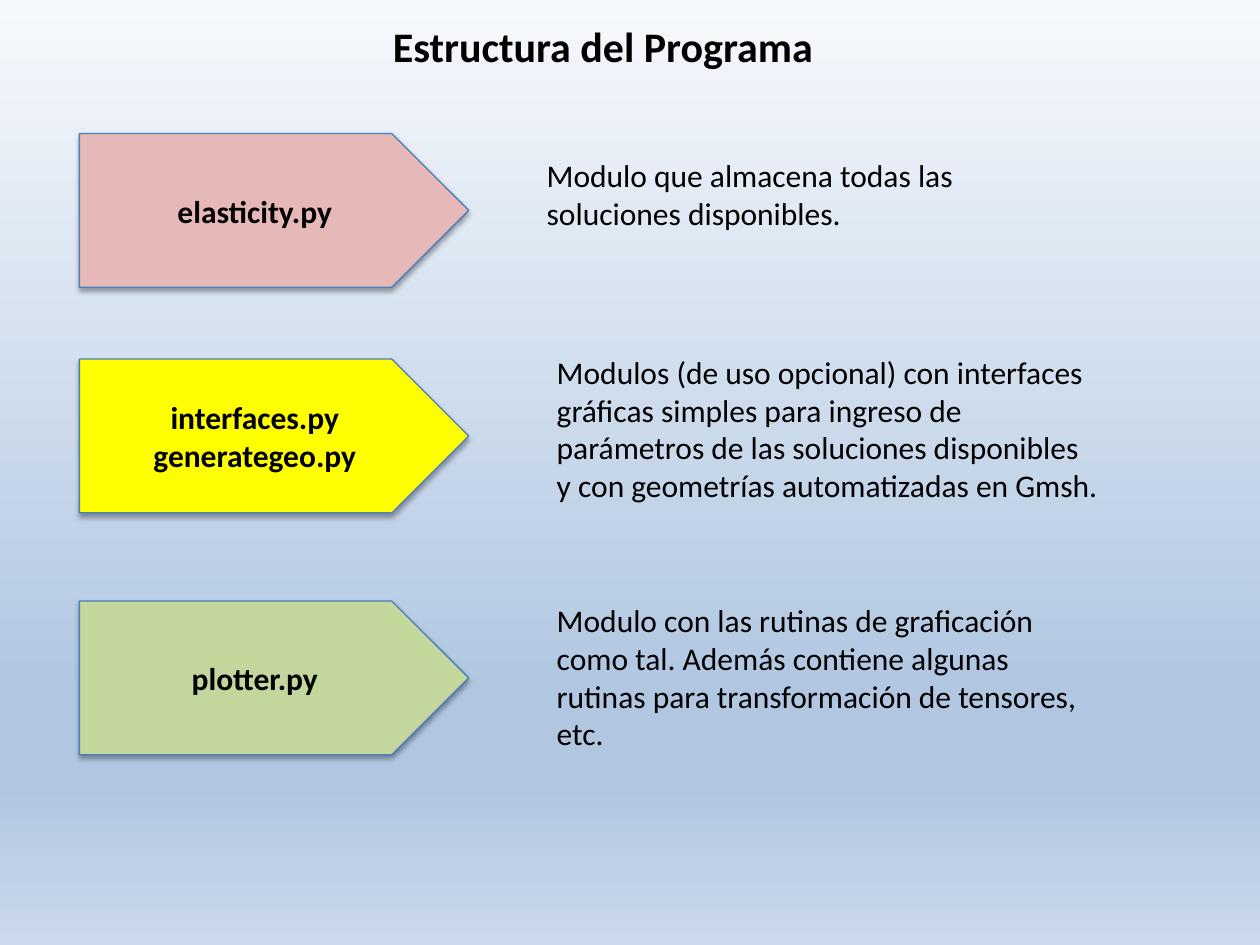
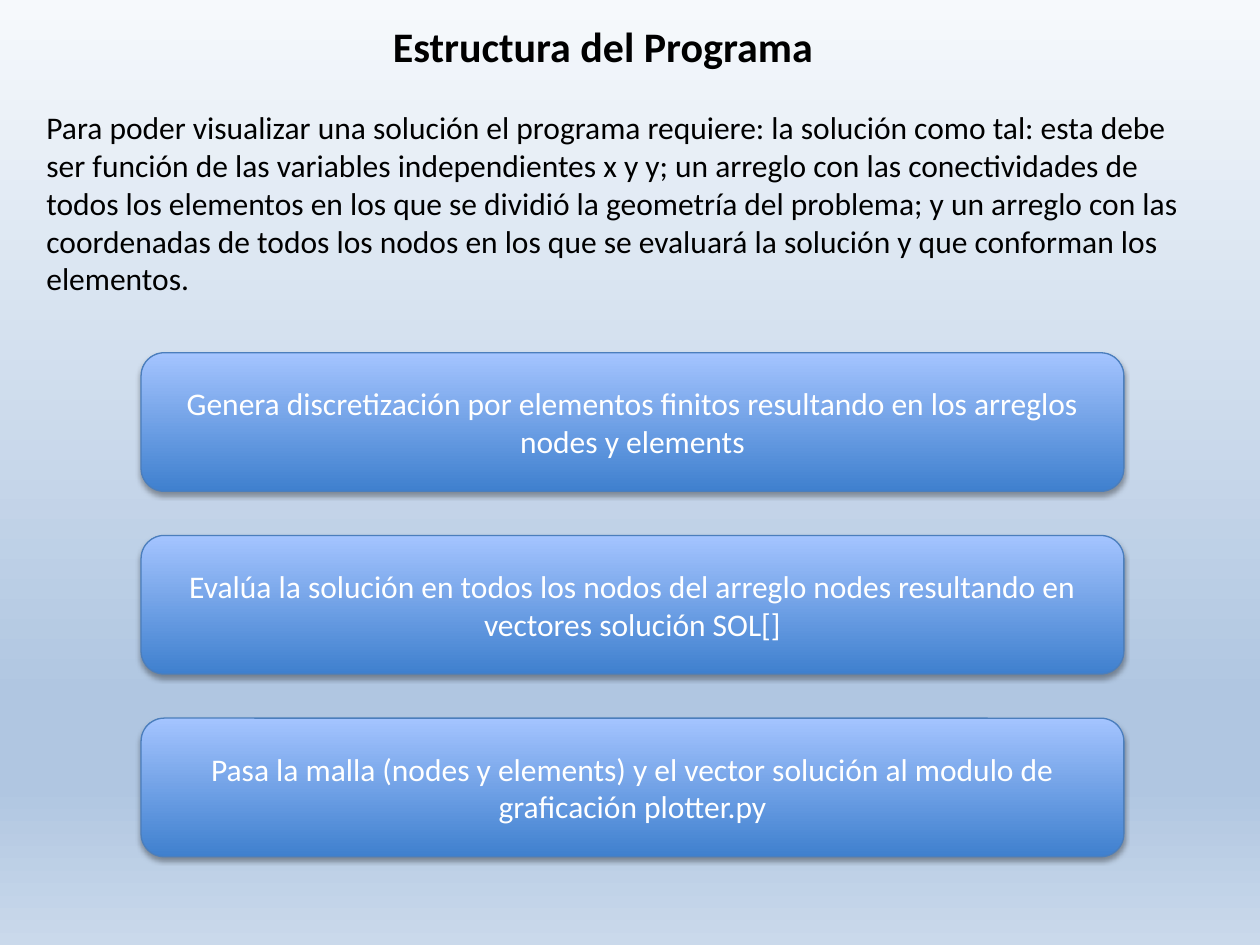
import dataclasses

import lxml.etree
import pptx
import pptx.dml.color
import pptx.enum.shapes
import pptx.enum.text
import pptx.oxml.ns
import pptx.util

Inches = pptx.util.Inches
Pt = pptx.util.Pt
MSO_SHAPE = pptx.enum.shapes.MSO_SHAPE
PP_ALIGN = pptx.enum.text.PP_ALIGN
MSO_ANCHOR = pptx.enum.text.MSO_ANCHOR
MSO_AUTO_SIZE = pptx.enum.text.MSO_AUTO_SIZE
qn = pptx.oxml.ns.qn


@dataclasses.dataclass(frozen=True)
class Theme:
    font: str = "Calibri"
    title_size: int = 24
    body_size: int = 18
    text: str = "000000"
    light: str = "FFFFFF"
    outline: str = "4B7EBC"
    pink: str = "E6B9B8"
    yellow: str = "FFFF00"
    green: str = "C3D69B"
    background: tuple = ((0, "F6F9FC"), (74, "B0C6E1"), (83, "B0C6E1"), (100, "CAD9EB"))
    step: tuple = ((0, "3F80CE"), (100, "A4C4FF"))


def rgb(value):
    return pptx.dml.color.RGBColor.from_string(value)


def add_color(parent, value):
    return lxml.etree.SubElement(parent, qn("a:srgbClr"), val=value)


class Deck:
    """Holds the theme and the current slide, and draws each kind of element."""

    def __init__(self, theme):
        self.theme = theme
        self.prs = pptx.Presentation()
        self.prs.slide_width, self.prs.slide_height = Inches(10), Inches(7.5)
        master = self.prs.slide_master
        self.gradient(master.background.fill, master.element, theme.background, 270)

    def gradient(self, fill, element, stops, angle):
        fill.gradient()
        fill.gradient_angle = angle
        stop_list = next(element.iter(qn("a:gsLst")))
        for old in list(stop_list):
            stop_list.remove(old)
        for position, color in stops:
            stop = lxml.etree.SubElement(stop_list, qn("a:gs"), pos=str(position * 1000))
            add_color(stop, color)

    def style_text(self, tf, text, size, color, bold=False, align=PP_ALIGN.LEFT):
        tf.text = text
        for p in tf.paragraphs:
            p.alignment = align
            for r in p.runs:
                r.font.name = self.theme.font
                r.font.size = Pt(size)
                r.font.bold = bold
                r.font.color.rgb = rgb(color)

    def slide(self, title):
        self.s = self.prs.slides.add_slide(self.prs.slide_layouts[5])
        sp = self.s.shapes.title
        sp.left, sp.top, sp.width, sp.height = map(Inches, (3, 0.11, 3.57, 0.5))
        tf = sp.text_frame
        self.style_text(tf, title, self.theme.title_size, self.theme.text, True, PP_ALIGN.CENTER)
        tf.word_wrap = False
        tf.auto_size = MSO_AUTO_SIZE.SHAPE_TO_FIT_TEXT
        tf.vertical_anchor = MSO_ANCHOR.TOP

    def text(self, left, top, width, height, text):
        sp = self.s.shapes.add_textbox(*map(Inches, (left, top, width, height)))
        tf = sp.text_frame
        tf.word_wrap = True
        tf.auto_size = MSO_AUTO_SIZE.SHAPE_TO_FIT_TEXT
        self.style_text(tf, text, self.theme.body_size, self.theme.text)

    def block(self, kind, left, top, width, height, text, color, bold=False):
        sp = self.s.shapes.add_shape(kind, *map(Inches, (left, top, width, height)))
        sp.line.color.rgb = rgb(self.theme.outline)
        sp.line.width = Pt(0.75)
        self.shadow(sp)
        sp.text_frame.vertical_anchor = MSO_ANCHOR.MIDDLE
        self.style_text(sp.text_frame, text, self.theme.body_size, color, bold, PP_ALIGN.CENTER)
        return sp

    def shadow(self, sp):
        sp.shadow.inherit = False
        effects = next(sp.element.iter(qn("a:effectLst")))
        outer = lxml.etree.SubElement(
            effects, qn("a:outerShdw"), blurRad=str(Pt(3.1)), dist=str(Pt(1.8)),
            dir="5400000", rotWithShape="0")
        color = add_color(outer, self.theme.text)
        lxml.etree.SubElement(color, qn("a:alpha"), val="35000")

    def module(self, top, text, fill):
        sp = self.block(MSO_SHAPE.PENTAGON, 0.63, top, 3.09, 1.22, text, self.theme.text, True)
        sp.fill.solid()
        sp.fill.fore_color.rgb = rgb(fill)

    def step(self, top, text):
        sp = self.block(MSO_SHAPE.ROUNDED_RECTANGLE, 1.12, top, 7.8, 1.1, text, self.theme.light)
        self.gradient(sp.fill, sp.element, self.theme.step, 90)


theme = Theme()
deck = Deck(theme)
TITLE = "Estructura del Programa"

MODULES = [
    (1.06, "elasticity.py", theme.pink, (4.24, 1.19, 4.49, 0.71),
     "Modulo que almacena todas las soluciones disponibles."),
    (2.85, "interfaces.py\ngenerategeo.py", theme.yellow, (4.32, 2.75, 4.49, 1.62),
     "Modulos (de uso opcional) con interfaces gráficas simples para ingreso de "
     "parámetros de las soluciones disponibles y con geometrías automatizadas en Gmsh."),
    (4.77, "plotter.py", theme.green, (4.32, 4.72, 4.49, 1.31),
     "Modulo con las rutinas de graficación como tal. Además contiene algunas "
     "rutinas para transformación de tensores, etc."),
]
deck.slide(TITLE)
for top, name, fill, box, description in MODULES:
    deck.module(top, name, fill)
    deck.text(*box, description)

STEPS = [
    "Genera discretización por elementos finitos resultando en los arreglos nodes y elements",
    "Evalúa la solución en todos los nodos del arreglo nodes resultando en vectores solución SOL[]",
    "Pasa la malla (nodes y elements) y el vector solución al modulo de graficación plotter.py",
]
deck.slide(TITLE)
for i, step in enumerate(STEPS):
    deck.step(2.8 + 1.45 * i, step)
deck.text(
    0.27, 0.81, 9.24, 1.62,
    "Para poder visualizar una solución el programa requiere: la solución como tal: esta debe "
    "ser función de las variables independientes x y y; un arreglo con las conectividades de "
    "todos los elementos en los que se dividió la geometría del problema; y un arreglo con las "
    "coordenadas de todos los nodos en los que se evaluará la solución y que conforman los "
    "elementos.")

deck.prs.save("out.pptx")
